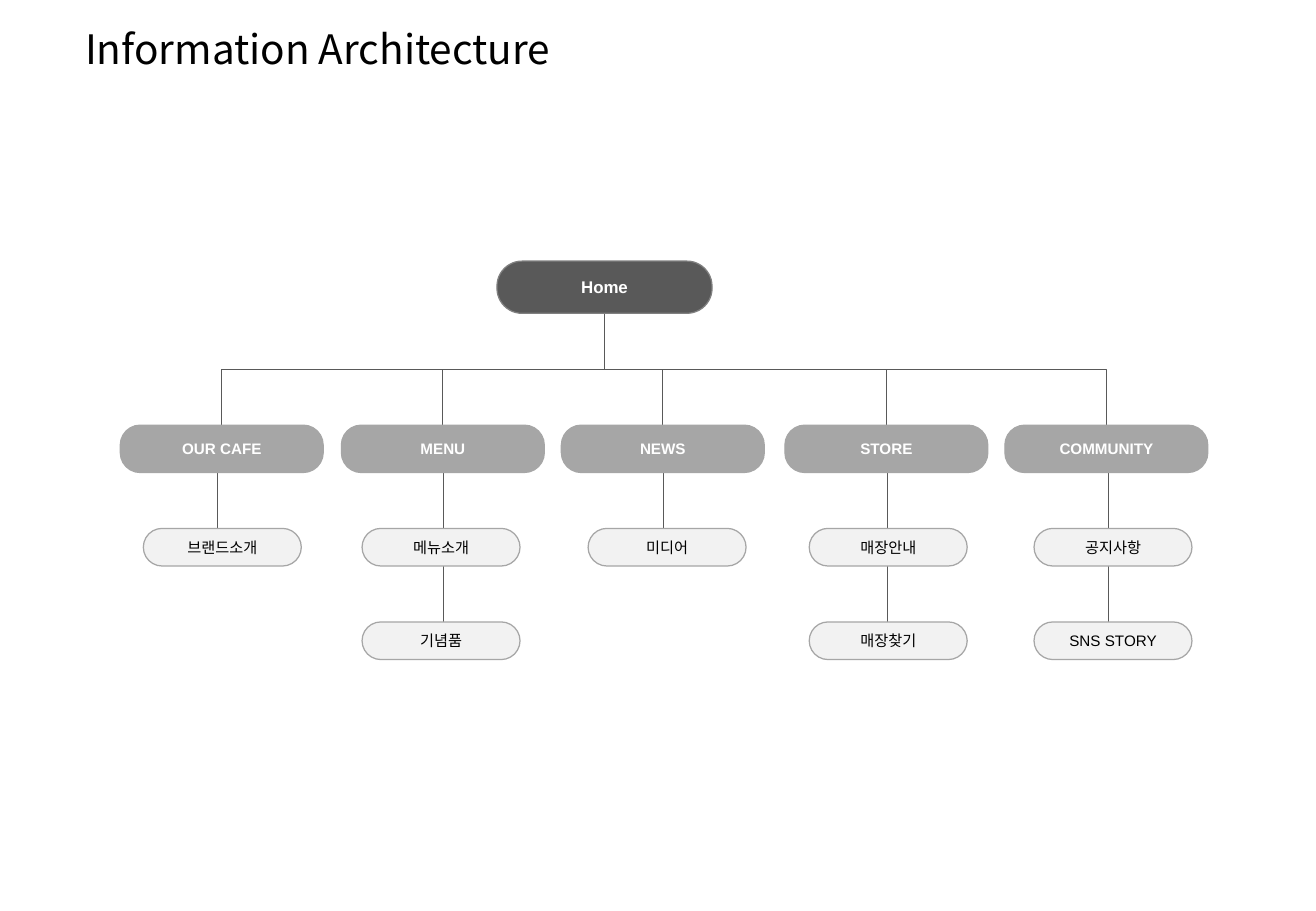
from lxml import etree
from pptx import Presentation
from pptx.dml.color import RGBColor
from pptx.enum import shapes, text
from pptx.oxml.ns import qn
from pptx.util import Inches, Pt

BLACK = RGBColor(0x00, 0x00, 0x00)
WHITE = RGBColor(0xFF, 0xFF, 0xFF)
CHARCOAL = RGBColor(0x59, 0x59, 0x59)
HOME_EDGE = RGBColor(0x80, 0x80, 0x80)
SECTION_GRAY = RGBColor(0xA6, 0xA6, 0xA6)
PAGE_GRAY = RGBColor(0xF2, 0xF2, 0xF2)

HOME_BOX = (4.09, 2.15, 1.77, 0.43)
SECTION_TOP, SECTION_WIDTH, SECTION_HEIGHT = 3.5, 1.67, 0.39
PAGE_TOP, PAGE_WIDTH, PAGE_HEIGHT, PAGE_STEP = 4.35, 1.3, 0.31, 0.77

SITE_SECTIONS = [
    ("OUR CAFE", 0.99, 1.79, 1.18, ["브랜드소개"]),
    ("MENU", 2.81, 3.65, 2.98, ["메뉴소개", "기념품"]),
    ("NEWS", 4.62, 5.46, 4.84, ["미디어"]),
    ("STORE", 6.46, 7.3, 6.66, ["매장안내", "매장찾기"]),
    ("COMMUNITY", 8.27, 9.12, 8.51, ["공지사항", "SNS STORY"]),
]


def write(frame, words, size, color, font="Arial", bold=False,
          align=text.PP_ALIGN.CENTER, anchor=text.MSO_ANCHOR.MIDDLE,
          before=1, wrap=True):
    frame.word_wrap = wrap
    frame.vertical_anchor = anchor
    paragraph = frame.paragraphs[0]
    paragraph.alignment = align
    paragraph.space_before = Pt(before)
    run = paragraph.add_run()
    run.text = words
    run.font.size = Pt(size)
    run.font.bold = bold
    run.font.color.rgb = color
    run.font.name = font
    east_asian = etree.SubElement(run.font._element, qn("a:ea"))
    east_asian.set("typeface", "Noto Sans CJK KR")


def add_node(slide, box, words, fill, edge, rounding, size, color, bold=False):
    node = slide.shapes.add_shape(
        shapes.MSO_SHAPE.ROUNDED_RECTANGLE, *map(Inches, box))
    node.adjustments[0] = rounding
    node.shadow.inherit = False
    node.fill.solid()
    node.fill.fore_color.rgb = fill
    node.line.color.rgb = edge
    node.line.width = Pt(0.75)
    frame = node.text_frame
    frame.margin_left = frame.margin_right = Inches(0.02)
    frame.margin_top = frame.margin_bottom = Inches(0.02)
    write(frame, words, size, color, bold=bold)


def add_link(slide, kind, x1, y1, x2, y2):
    link = slide.shapes.add_connector(kind, *map(Inches, (x1, y1, x2, y2)))
    link.line.color.rgb = CHARCOAL
    link.line.width = Pt(0.5)
    etree.SubElement(link._element.spPr, qn("a:effectLst"))
    return link


def add_branch(slide, x1, y1, x2, y2):
    center_x, center_y = (x1 + x2) / 2, (y1 + y2) / 2
    half_drop, half_span = (y2 - y1) / 2, abs(x2 - x1) / 2
    side = 1 if x2 < x1 else -1
    branch = add_link(slide, shapes.MSO_CONNECTOR.ELBOW,
                      center_x - side * half_drop, center_y - half_span,
                      center_x + side * half_drop, center_y + half_span)
    turn = 90 if side == 1 else 270
    branch._element.spPr.find(qn("a:xfrm")).set("rot", str(turn * 60000))


def add_heading(slide, box):
    heading = slide.shapes.title
    heading.left, heading.top, heading.width, heading.height = map(Inches, box)
    write(heading.text_frame, "Information Architecture", 24, BLACK,
          font="Noto Sans CJK KR", align=text.PP_ALIGN.LEFT,
          anchor=text.MSO_ANCHOR.TOP, before=0, wrap=False)


def add_home(slide, box):
    add_node(slide, box, "Home", CHARCOAL, HOME_EDGE, 0.48, 10, WHITE, bold=True)


def add_section(slide, box, label, link_x, page_left, pages):
    left, top, width, height = box
    home_left, home_top, home_width, home_height = HOME_BOX
    page_tops = [PAGE_TOP + i * PAGE_STEP for i in range(len(pages))]
    add_branch(slide, home_left + home_width / 2, home_top + home_height,
               left + width / 2, top)
    add_link(slide, shapes.MSO_CONNECTOR.STRAIGHT,
             link_x, top + height, link_x, page_tops[-1])
    add_node(slide, box, label, SECTION_GRAY, SECTION_GRAY, 0.42, 9, WHITE, bold=True)
    for page, page_top in zip(pages, page_tops):
        add_node(slide, (page_left, page_top, PAGE_WIDTH, PAGE_HEIGHT),
                 page, PAGE_GRAY, SECTION_GRAY, 0.5, 9, BLACK)


def main():
    deck = Presentation()
    deck.slide_width, deck.slide_height = Inches(10.83), Inches(7.5)
    slide = deck.slides.add_slide(deck.slide_layouts[5])
    add_heading(slide, (0.6, 0.15, 4.24, 0.5))
    for label, left, link_x, page_left, pages in SITE_SECTIONS:
        add_section(slide, (left, SECTION_TOP, SECTION_WIDTH, SECTION_HEIGHT),
                    label, link_x, page_left, pages)
    add_home(slide, HOME_BOX)
    deck.save("out.pptx")


if __name__ == "__main__":
    main()
